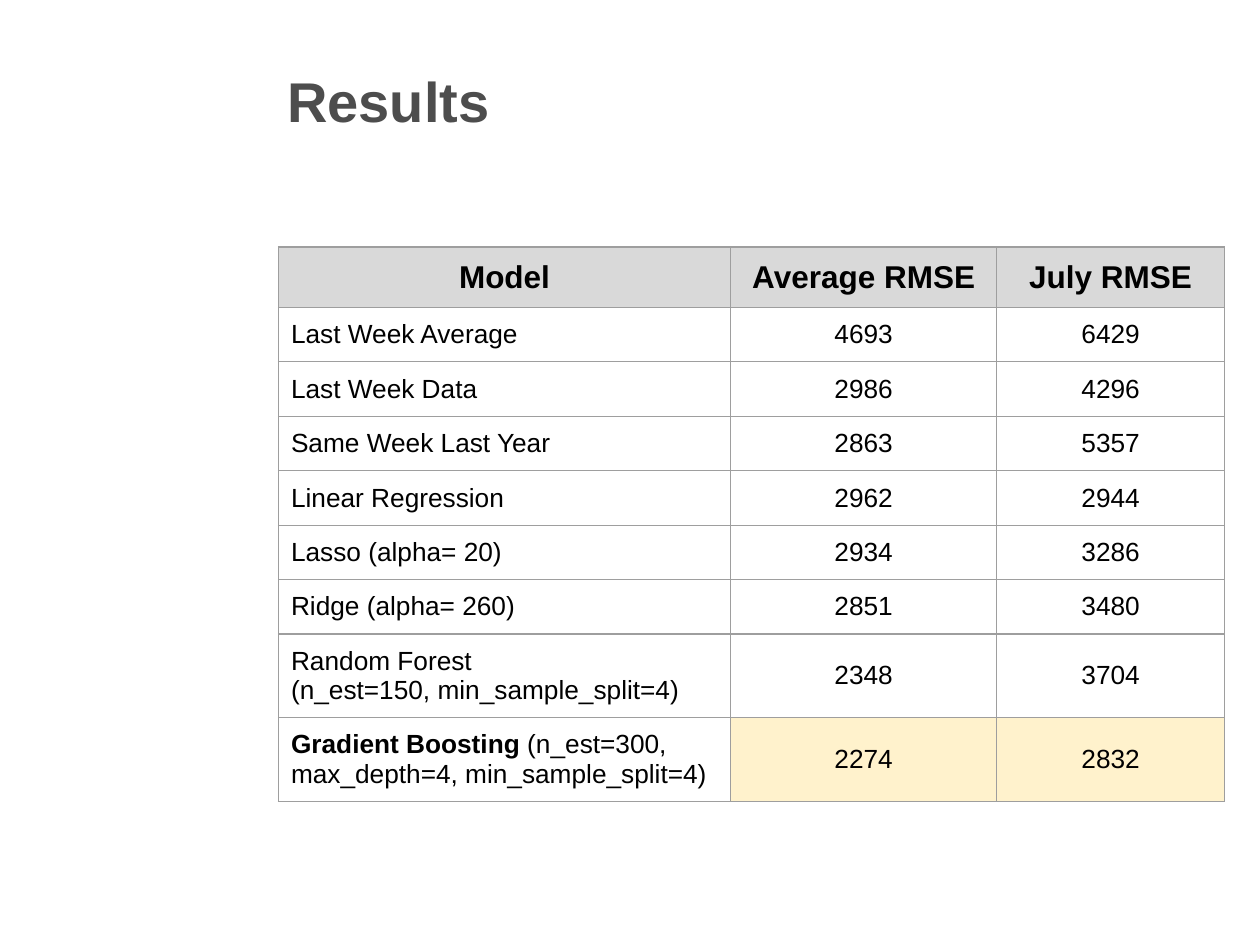
from pptx import Presentation
from pptx.dml.color import RGBColor
from pptx.enum.text import MSO_ANCHOR, PP_ALIGN
from pptx.oxml import parse_xml
from pptx.oxml.ns import nsdecls
from pptx.util import Inches, Pt

THEME = {
    "font": "Arial",
    "title": "4D4D4D", "text": "000000", "border": "9E9E9E",
    "header": "D9D9D9", "best": "FFF2CC",
    "title_size": 32, "header_size": 18, "body_size": 15, "border_width": 0.75,
}

TITLE = "Results"
HEADERS = ["Model", "Average RMSE", "July RMSE"]
RESULTS = [
    ([[("Last Week Average", False)]], 4693, 6429),
    ([[("Last Week Data", False)]], 2986, 4296),
    ([[("Same Week Last Year", False)]], 2863, 5357),
    ([[("Linear Regression", False)]], 2962, 2944),
    ([[("Lasso (alpha= 20)", False)]], 2934, 3286),
    ([[("Ridge (alpha= 260)", False)]], 2851, 3480),
    ([[("Random Forest", False)],
      [("(n_est=150, min_sample_split=4)", False)]], 2348, 3704),
    ([[("Gradient Boosting", True),
       (" (n_est=300, max_depth=4, min_sample_split=4)", False)]], 2274, 2832),
]
COLUMN_WIDTHS = [3.59, 2.11, 1.81]
ROW_HEIGHT = 0.42
WIDE_MARGINS = (0.1, 0.1)
NARROW_MARGINS = (0.03, 0.02)


def write(frame, paragraphs, size, color, align):
    for index, spans in enumerate(paragraphs):
        para = frame.paragraphs[0] if index == 0 else frame.add_paragraph()
        para.alignment = align
        for text, bold in spans:
            span = para.add_run()
            span.text = text
            span.font.name = THEME["font"]
            span.font.size = Pt(size)
            span.font.bold = bold
            span.font.color.rgb = RGBColor.from_string(color)


def add_borders(cell):
    properties = cell._tc.get_or_add_tcPr()
    for position, side in enumerate(("lnL", "lnR", "lnT", "lnB")):
        properties.insert(position, parse_xml(
            f'<a:{side} {nsdecls("a")} w="{Pt(THEME["border_width"])}"><a:solidFill>'
            f'<a:srgbClr val="{THEME["border"]}"/></a:solidFill></a:{side}>'))


def fill_cell(cell, paragraphs, size, align, anchor, margins, fill=None):
    horizontal, vertical = map(Inches, margins)
    cell.margin_left = cell.margin_right = horizontal
    cell.margin_top = cell.margin_bottom = vertical
    cell.vertical_anchor = anchor
    if fill:
        cell.fill.solid()
        cell.fill.fore_color.rgb = RGBColor.from_string(fill)
    else:
        cell.fill.background()
    add_borders(cell)
    write(cell.text_frame, paragraphs, size, THEME["text"], align)


def add_title(page):
    box = page.shapes.title
    box.left, box.top, box.width, box.height = map(Inches, (2.18, 0.52, 7.09, 0.55))
    box.text_frame.vertical_anchor = MSO_ANCHOR.MIDDLE
    write(box.text_frame, [[(TITLE, True)]], THEME["title_size"], THEME["title"], PP_ALIGN.LEFT)


def add_results(page):
    row_count = len(RESULTS) + 1
    table = page.shapes.add_table(
        row_count, len(HEADERS), Inches(2.21), Inches(1.96),
        Inches(sum(COLUMN_WIDTHS)), Inches(ROW_HEIGHT * row_count)).table
    table.first_row = table.horz_banding = False
    for column, width in zip(table.columns, COLUMN_WIDTHS):
        column.width = Inches(width)
    for row in table.rows:
        row.height = Inches(ROW_HEIGHT)

    for column, header in enumerate(HEADERS):
        fill_cell(table.cell(0, column), [[(header, True)]], THEME["header_size"],
                  PP_ALIGN.CENTER, MSO_ANCHOR.TOP, WIDE_MARGINS, THEME["header"])

    best_score = min(average for _, average, _ in RESULTS)
    for row, (model, *scores) in enumerate(RESULTS, 1):
        fill_cell(table.cell(row, 0), model, THEME["body_size"],
                  PP_ALIGN.LEFT, MSO_ANCHOR.TOP, WIDE_MARGINS)
        is_best = scores[0] == best_score
        for column, score in enumerate(scores, 1):
            fill_cell(table.cell(row, column), [[(str(score), False)]], THEME["body_size"],
                      PP_ALIGN.CENTER, MSO_ANCHOR.MIDDLE,
                      WIDE_MARGINS if is_best else NARROW_MARGINS,
                      THEME["best"] if is_best else None)


def main():
    deck = Presentation()
    deck.slide_width, deck.slide_height = Inches(10), Inches(7.5)
    page = deck.slides.add_slide(deck.slide_layouts[5])
    add_title(page)
    add_results(page)
    deck.save("out.pptx")


if __name__ == "__main__":
    main()
